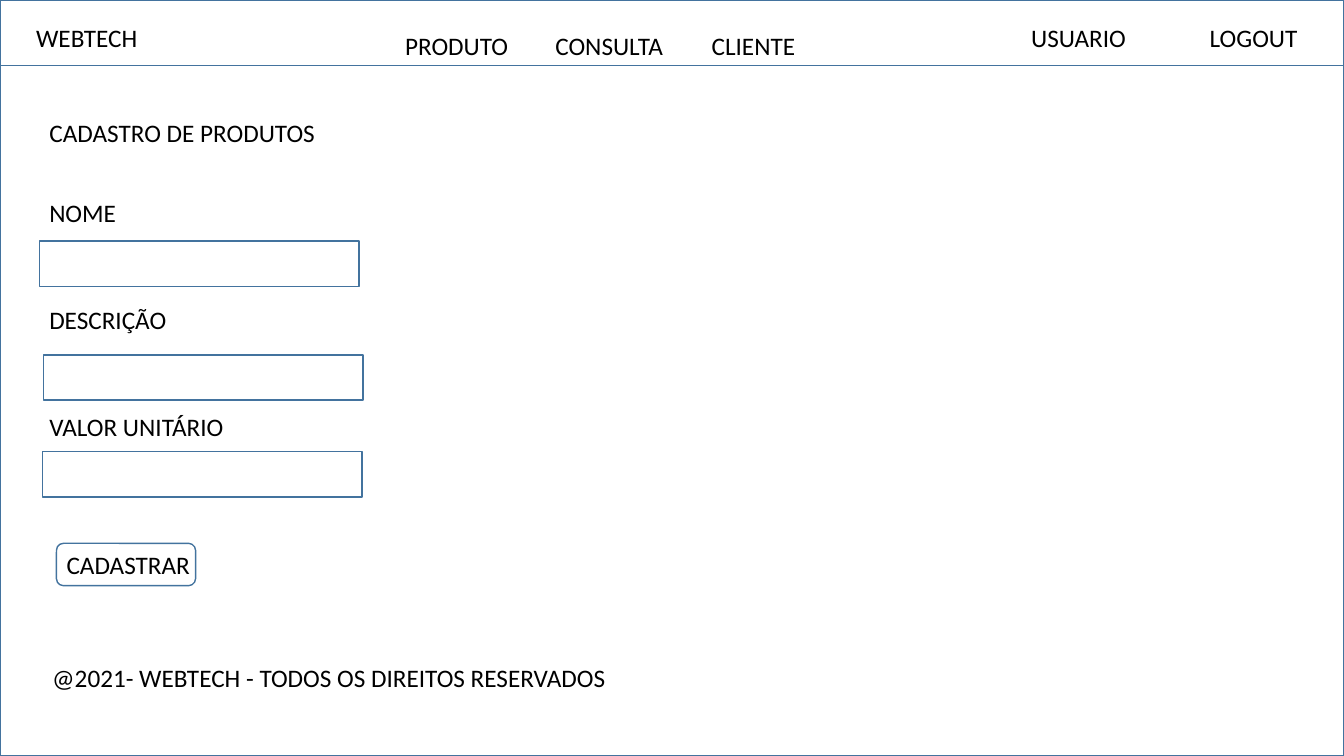
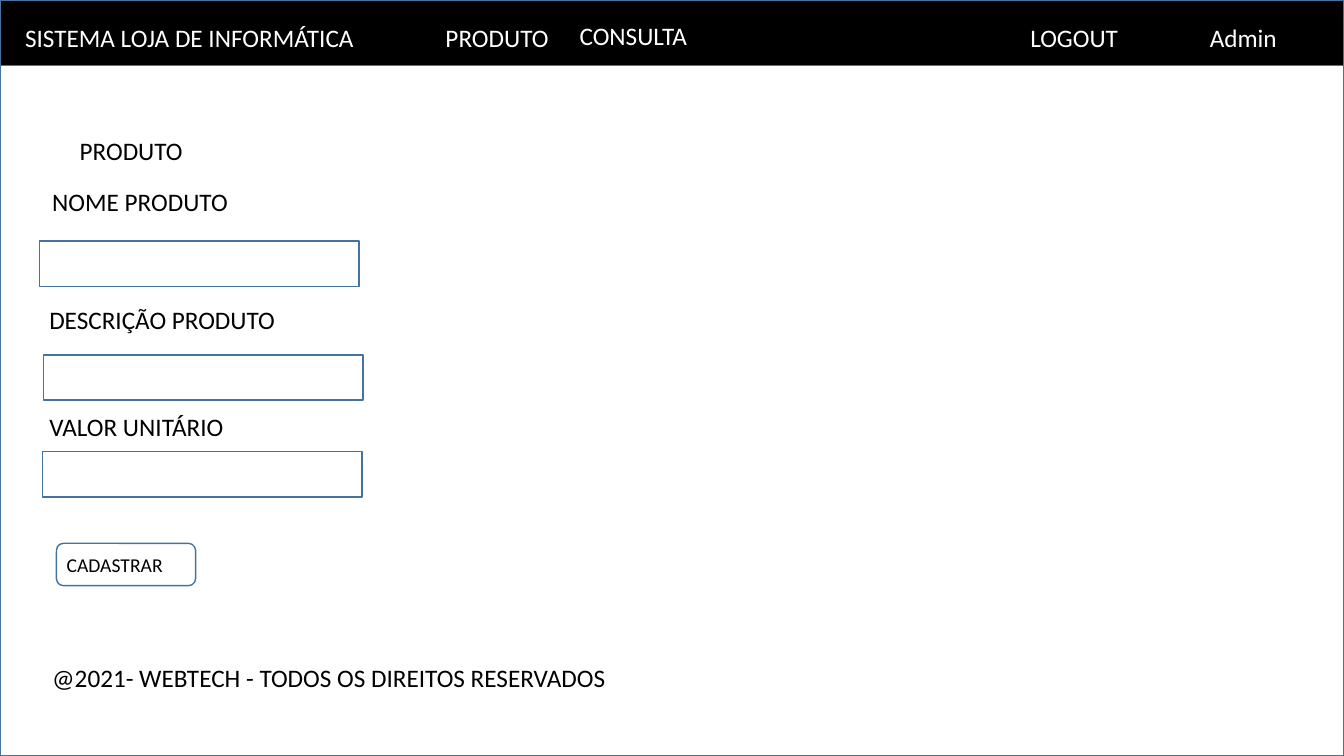
from pptx import Presentation
from pptx.dml.color import RGBColor
from pptx.enum.shapes import MSO_SHAPE
from pptx.enum.text import MSO_ANCHOR, MSO_AUTO_SIZE, PP_ALIGN
from pptx.util import Inches, Pt

# Shared style
BLACK = RGBColor(0x00, 0x00, 0x00)
WHITE = RGBColor(0xFF, 0xFF, 0xFF)
OUTLINE = RGBColor(0x43, 0x73, 0x9E)
FONT = "Calibri"
TEXT_SIZE = 18
PAGE_W, PAGE_H = 13.33, 7.5
HEADER_H = 0.65
LABEL_H = 0.4

# Parts at the same place on every screen
FIELD_W, FIELD_H = 3.17, 0.45
FIELD_CORNERS = [(0.39, 2.39), (0.43, 3.52), (0.42, 4.48)]
BUTTON_BOX = (0.56, 5.39, 1.38, 0.42)
FOOTER = ("@2021- WEBTECH - TODOS OS DIREITOS RESERVADOS", 0.42, 6.52, 6.1)

# Each text entry: wording, left, top, width
SCREENS = [
    {
        "header_fill": None,
        "header_color": BLACK,
        "menu": [
            ("WEBTECH", 0.26, 0.17, 1.23),
            ("PRODUTO", 3.92, 0.25, 1.23),
            ("CONSULTA", 5.41, 0.25, 1.92),
            ("CLIENTE", 6.96, 0.25, 1.92),
            ("USUARIO", 10.13, 0.17, 1.23),
            ("LOGOUT", 11.9, 0.17, 1.23),
        ],
        "title": ("CADASTRO DE PRODUTOS", 0.39, 1.11, 2.95),
        "labels": [
            ("NOME", 0.39, 1.91, 1.92),
            ("DESCRIÇÃO", 0.39, 2.97, 1.92),
            ("VALOR UNITÁRIO", 0.39, 4.03, 2.12),
        ],
        "button_size": 18,
    },
    {
        "header_fill": BLACK,
        "header_color": WHITE,
        "menu": [
            ("SISTEMA LOJA DE INFORMÁTICA", 0.15, 0.17, 4.02),
            ("PRODUTO", 4.32, 0.17, 1.49),
            ("CONSULTA", 5.65, 0.15, 1.35),
            ("LOGOUT", 10.12, 0.17, 1.25),
            ("Admin", 11.9, 0.17, 1.08),
        ],
        "title": ("PRODUTO", 0.69, 1.29, 1.92),
        "labels": [
            ("NOME PRODUTO", 0.42, 1.8, 2.8),
            ("DESCRIÇÃO PRODUTO", 0.39, 2.97, 2.69),
            ("VALOR UNITÁRIO", 0.39, 4.03, 2.35),
        ],
        "button_size": 14,
    },
]


def write_text(frame, wording, color=BLACK, size=TEXT_SIZE, wrap=True,
               anchor=MSO_ANCHOR.TOP):
    frame.word_wrap = wrap
    frame.auto_size = MSO_AUTO_SIZE.NONE
    frame.vertical_anchor = anchor
    paragraph = frame.paragraphs[0]
    paragraph.alignment = PP_ALIGN.LEFT
    run = paragraph.add_run()
    run.text = wording
    run.font.name = FONT
    run.font.size = Pt(size)
    run.font.color.rgb = color


def add_label(slide, entry, color=BLACK):
    wording, left, top, width = entry
    label = slide.shapes.add_textbox(
        Inches(left), Inches(top), Inches(width), Inches(LABEL_H))
    write_text(label.text_frame, wording, color)


def add_outlined(slide, left, top, width, height, fill=None,
                 preset=MSO_SHAPE.RECTANGLE):
    box = slide.shapes.add_shape(
        preset, Inches(left), Inches(top), Inches(width), Inches(height))
    box.shadow.inherit = False
    if fill is None:
        box.fill.background()
    else:
        box.fill.solid()
        box.fill.fore_color.rgb = fill
    box.line.color.rgb = OUTLINE
    box.line.width = Pt(1)
    return box


def place_title(slide, entry):
    wording, left, top, width = entry
    title = slide.shapes.title
    title.left, title.top = Inches(left), Inches(top)
    title.width, title.height = Inches(width), Inches(LABEL_H)
    write_text(title.text_frame, wording)


def add_button(slide, size):
    button = add_outlined(slide, *BUTTON_BOX,
                          preset=MSO_SHAPE.ROUNDED_RECTANGLE)
    # The text inset adds to the one of the rounded corner
    button.text_frame.margin_left = Inches(0.08)
    write_text(button.text_frame, "CADASTRAR", size=size, wrap=False,
               anchor=MSO_ANCHOR.MIDDLE)


def build_screen(prs, screen):
    slide = prs.slides.add_slide(prs.slide_layouts.get_by_name("Title Only"))

    # Page frame and header
    add_outlined(slide, 0, 0, PAGE_W, PAGE_H)
    add_outlined(slide, 0, 0, PAGE_W, HEADER_H, screen["header_fill"])
    for entry in screen["menu"]:
        add_label(slide, entry, screen["header_color"])

    # Form
    place_title(slide, screen["title"])
    for entry, corner in zip(screen["labels"], FIELD_CORNERS):
        add_label(slide, entry)
        add_outlined(slide, *corner, FIELD_W, FIELD_H)
    add_button(slide, screen["button_size"])

    # Footer
    add_label(slide, FOOTER)


def main():
    prs = Presentation()
    prs.slide_width, prs.slide_height = Inches(PAGE_W), Inches(PAGE_H)
    for screen in SCREENS:
        build_screen(prs, screen)
    prs.save("out.pptx")


if __name__ == "__main__":
    main()
